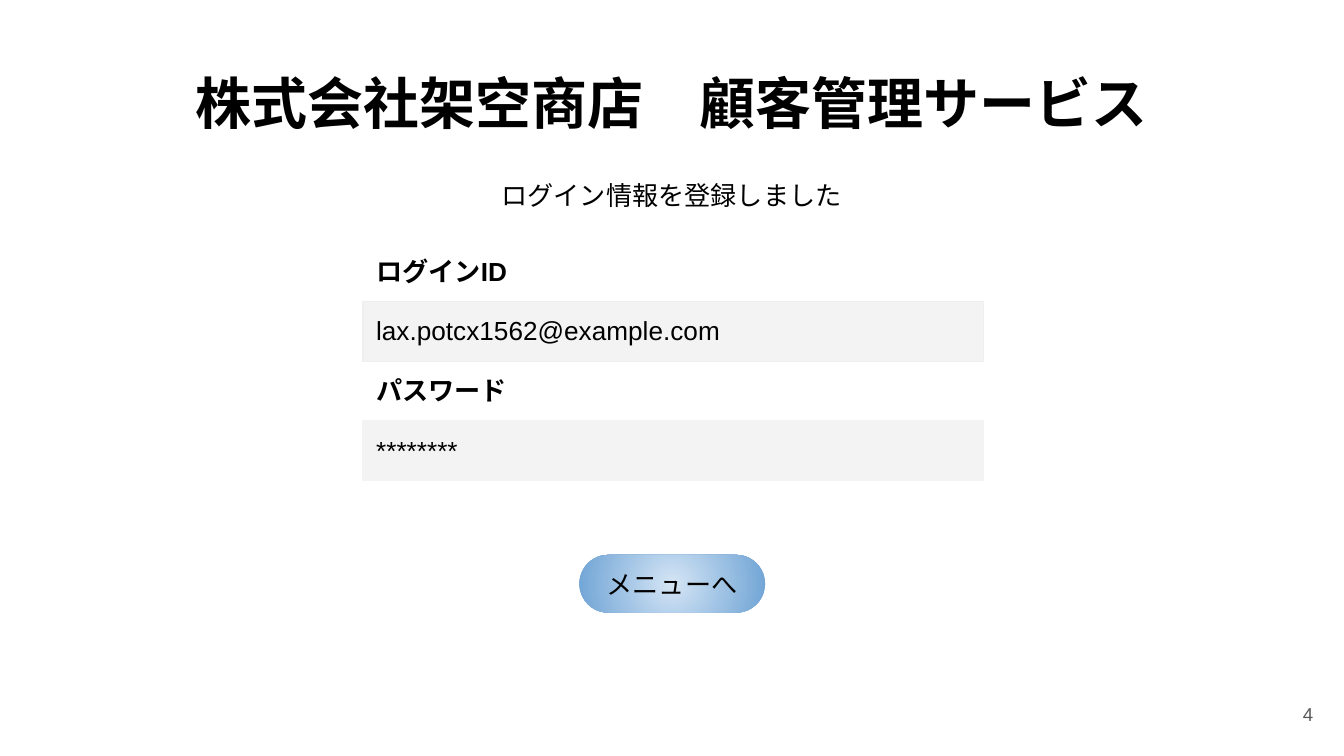
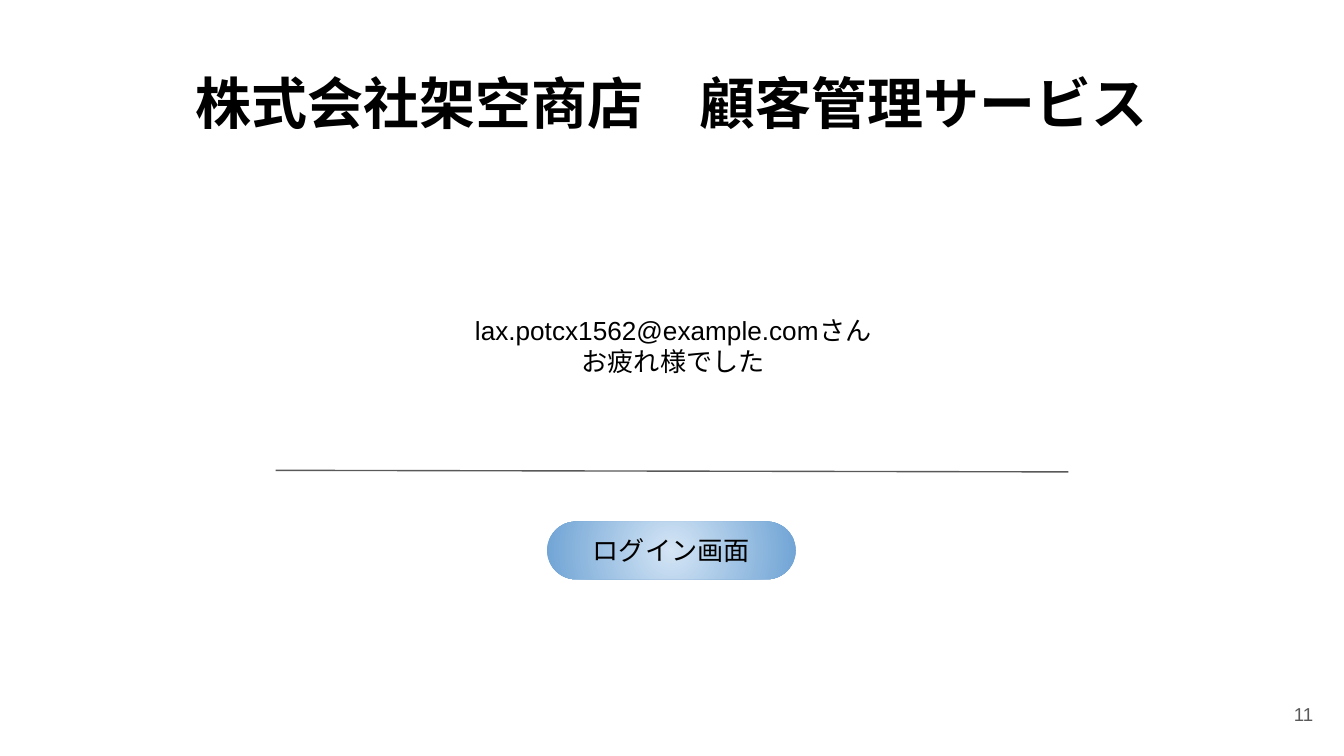
from lxml.etree import SubElement
from pptx import Presentation
from pptx.dml.color import RGBColor
from pptx.enum.shapes import MSO_CONNECTOR, MSO_SHAPE
from pptx.enum.text import MSO_ANCHOR, MSO_AUTO_SIZE, PP_ALIGN
from pptx.oxml.ns import qn
from pptx.util import Cm, Pt

COLORS = {
    "ink": "000000",
    "muted": "595959",
    "field": "F3F3F3",
    "field_edge": "EFEFEF",
    "button_core": "D4E5F5",
    "button_rim": "70A4D5",
}
FONT = "Arial"
SERVICE = "株式会社架空商店　顧客管理サービス"
ACCOUNT = "lax.potcx1562@example.com"

# Text styles: font values, colour and alignment
STYLES = {
    "title": ({"size": Pt(30), "bold": True}, "ink", PP_ALIGN.CENTER),
    "label": ({"size": Pt(14), "bold": True}, "ink", PP_ALIGN.LEFT),
    "value": ({"size": Pt(14)}, "ink", PP_ALIGN.LEFT),
    "message": ({"size": Pt(14)}, "ink", PP_ALIGN.CENTER),
    "number": ({"size": Pt(10)}, "muted", PP_ALIGN.RIGHT),
}
FRAME = {
    "word_wrap": True,
    "margin_left": Cm(0.25),
    "margin_right": Cm(0.25),
    "margin_top": Cm(0.25),
    "margin_bottom": Cm(0.25),
}
GROWING = {"auto_size": MSO_AUTO_SIZE.SHAPE_TO_FIT_TEXT,
           "vertical_anchor": MSO_ANCHOR.TOP}
CENTERED = {"auto_size": MSO_AUTO_SIZE.NONE,
            "vertical_anchor": MSO_ANCHOR.MIDDLE}

# Boxes in cm: left, top, width, height
TITLE_BOX = (3.43, 1.04, 18.54, 1.8)
NUMBER_BOX = (23.55, 12.95, 1.52, 1.09)
NOTICE_BOX = (6.83, 3.15, 11.73, 1.12)
FORM_BOX = (6.86, 4.57, 11.73, 4.52)
FAREWELL_BOX = (6.86, 5.69, 11.73, 1.7)


def rgb(name):
    return RGBColor.from_string(COLORS[name])


def to_cm(box):
    return [Cm(length) for length in box]


def set_all(target, values):
    for name, value in values.items():
        setattr(target, name, value)


def write(holder, lines, style, layout=GROWING):
    """Fill a text box or shape with one paragraph per line."""
    font_values, color, align = STYLES[style]
    frame = holder.text_frame
    set_all(frame, {**FRAME, **layout})
    frame.text = "\n".join(lines)
    for paragraph in frame.paragraphs:
        paragraph.alignment = align
        for run in paragraph.runs:
            set_all(run.font, {"name": FONT, **font_values})
            run.font.color.rgb = rgb(color)
            SubElement(run.font._element, qn("a:ea"), typeface=FONT)


def add_text(slide, box, lines, style, layout=GROWING):
    write(slide.shapes.add_textbox(*to_cm(box)), lines, style, layout)


def add_field(slide, box, value, edge):
    field = slide.shapes.add_shape(MSO_SHAPE.RECTANGLE, *to_cm(box))
    field.shadow.inherit = False
    field.fill.solid()
    field.fill.fore_color.rgb = rgb("field")
    field.line.color.rgb = rgb(edge)
    field.line.width = Pt(0.75)
    write(field, [value], "value")


def add_form(slide, box, entries):
    """Stack a label and a field for each entry in equal rows."""
    left, top, width, height = box
    step = height / (2 * len(entries))
    for index, (label, value, edge) in enumerate(entries):
        label_top = top + 2 * index * step
        add_field(slide, (left, label_top + step, width, step), value, edge)
        add_text(slide, (left, label_top, width, step), [label], "label")


def add_button(slide, box, caption):
    """Draw a pill with a gradient spreading from its centre."""
    button = slide.shapes.add_shape(MSO_SHAPE.ROUNDED_RECTANGLE, *to_cm(box))
    button.adjustments[0] = 0.5
    button.shadow.inherit = False
    button.line.fill.background()
    button.fill.gradient()
    for stop, color in zip(button.fill.gradient_stops,
                           ("button_core", "button_rim")):
        stop.color.rgb = rgb(color)
    gradient = button._element.spPr.find(qn("a:gradFill"))
    gradient.remove(gradient.find(qn("a:lin")))
    radial = SubElement(gradient, qn("a:path"), {"path": "circle"})
    SubElement(radial, qn("a:fillToRect"), dict.fromkeys("ltrb", "50000"))
    write(button, [caption], "message", CENTERED)


def add_rule(slide, start, end):
    rule = slide.shapes.add_connector(
        MSO_CONNECTOR.STRAIGHT, *to_cm(start + end))
    rule.line.color.rgb = rgb("muted")
    rule.line.width = Pt(0.75)
    SubElement(rule._element.spPr, qn("a:effectLst"))


def add_screen(deck, number):
    """Start a slide with the shared title and page number."""
    slide = deck.slides.add_slide(deck.slide_layouts[6])
    add_text(slide, TITLE_BOX, [SERVICE], "title")
    add_text(slide, NUMBER_BOX, [str(number)], "number", CENTERED)
    return slide


def build_registered(deck):
    slide = add_screen(deck, 4)
    add_text(slide, NOTICE_BOX, ["ログイン情報を登録しました"], "message")
    add_form(slide, FORM_BOX, [
        ("ログインID", ACCOUNT, "field_edge"),
        ("パスワード", "********", "field"),
    ])
    add_button(slide, (10.95, 10.49, 3.51, 1.09), "メニューへ")


def build_logout(deck):
    slide = add_screen(deck, 11)
    add_text(slide, FAREWELL_BOX,
             [ACCOUNT + "さん", "お疲れ様でした"], "message")
    add_rule(slide, (5.21, 8.89), (20.19, 8.92))
    add_button(slide, (10.34, 9.86, 4.7, 1.09), "ログイン画面")


deck = Presentation()
deck.slide_width, deck.slide_height = Cm(25.4), Cm(14.29)
build_registered(deck)
build_logout(deck)
deck.save("out.pptx")
